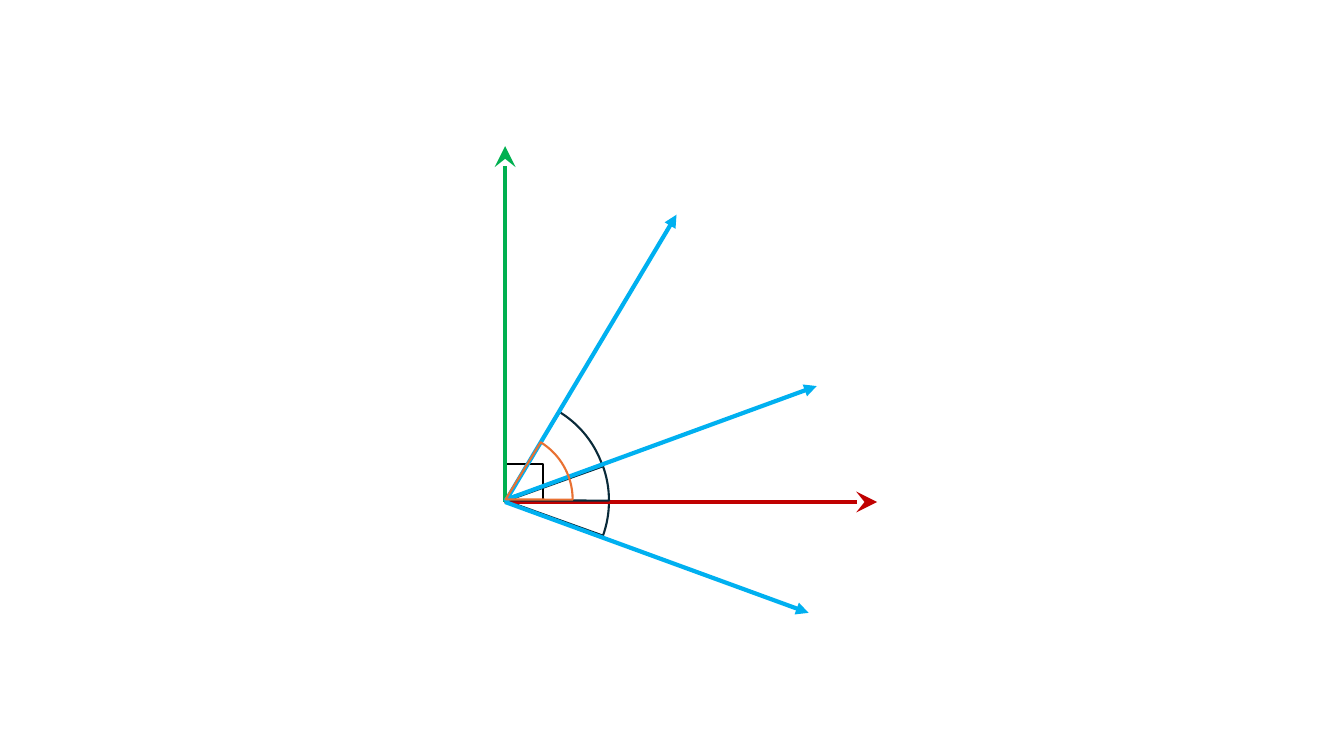
"""Draw two axes, three rays from their origin and the angles between them."""
from dataclasses import dataclass

from pptx import Presentation
from pptx import util as u
from pptx.dml.color import RGBColor
from pptx.enum import shapes as kinds
from pptx.oxml import ns
from pptx.oxml import xmlchemy as xml
from pptx.shapes.autoshape import Shape
from pptx.shapes.group import GroupShape

INK, RED, GREEN, BLUE, ORANGE = "092A39", "C00000", "00B050", "00B0F0", "E97132"
LEFT, BASE = 5.01, 4.98
DEGREE = 0.6


@dataclass
class Angle:
    left: float
    top: float
    size: float
    start: float
    end: float
    color: str = INK


@dataclass
class Arrow:
    x: float
    y: float
    color: str = BLUE
    base: float = BASE
    head: str = "triangle"
    scale: str = "med"


SCENE = [
    Angle(4.02, 3.94, 2.01, 301.57, 341.22),
    Angle(4.03, 3.97, 2.01, 0.65, 19.74),
    "square",
    Arrow(8.7, BASE, RED, head="stealth", scale="lg"),
    Arrow(LEFT, 1.45, GREEN, head="stealth", scale="lg"),
    Angle(4.03, 3.96, 2.01, 340.29, 0.1),
    Arrow(8.02, 6.08),
    Arrow(6.71, 2.13),
    Arrow(8.1, 3.83, base=4.96),
    Angle(4.35, 4.29, 1.33, 301.57, 0.21, ORANGE),
]


def paint(line, color: str, width: float) -> None:
    line.color.rgb = RGBColor.from_string(color)
    line.width = u.Pt(width)


def outline(group: GroupShape, kind: kinds.MSO_SHAPE, left: float, top: float,
            size: float, color: str) -> Shape:
    side = u.Inches(size)
    shape = group.shapes.add_shape(kind, u.Inches(left), u.Inches(top), side, side)
    shape.shadow.inherit = False
    shape.fill.background()
    paint(shape.line, color, 1.5)
    return shape


def draw_angle(group: GroupShape, angle: Angle) -> None:
    pie = outline(group, kinds.MSO_SHAPE.PIE, angle.left, angle.top,
                  angle.size, angle.color)
    pie.adjustments[0] = angle.start * DEGREE
    pie.adjustments[1] = angle.end * DEGREE


def draw_arrow(group: GroupShape, arrow: Arrow) -> None:
    ray = group.shapes.add_connector(
        kinds.MSO_CONNECTOR.STRAIGHT, u.Inches(LEFT), u.Inches(arrow.base),
        u.Inches(arrow.x), u.Inches(arrow.y))
    paint(ray.line, arrow.color, 3)
    props = ray._element.spPr
    tip = xml.OxmlElement("a:tailEnd")
    for name, value in (("type", arrow.head), ("w", arrow.scale), ("len", arrow.scale)):
        tip.set(name, value)
    props.find(ns.qn("a:ln")).append(tip)
    props.append(xml.OxmlElement("a:effectLst"))


def main() -> None:
    deck = Presentation()
    deck.slide_width, deck.slide_height = u.Inches(13.33), u.Inches(7.5)
    slide = deck.slides.add_slide(deck.slide_layouts[6])
    group = slide.shapes.add_group_shape()
    for part in SCENE:
        if isinstance(part, Angle):
            draw_angle(group, part)
        elif isinstance(part, Arrow):
            draw_arrow(group, part)
        else:
            outline(group, kinds.MSO_SHAPE.RECTANGLE, LEFT, 4.6, 0.38, "000000")
    deck.save("out.pptx")


if __name__ == "__main__":
    main()
